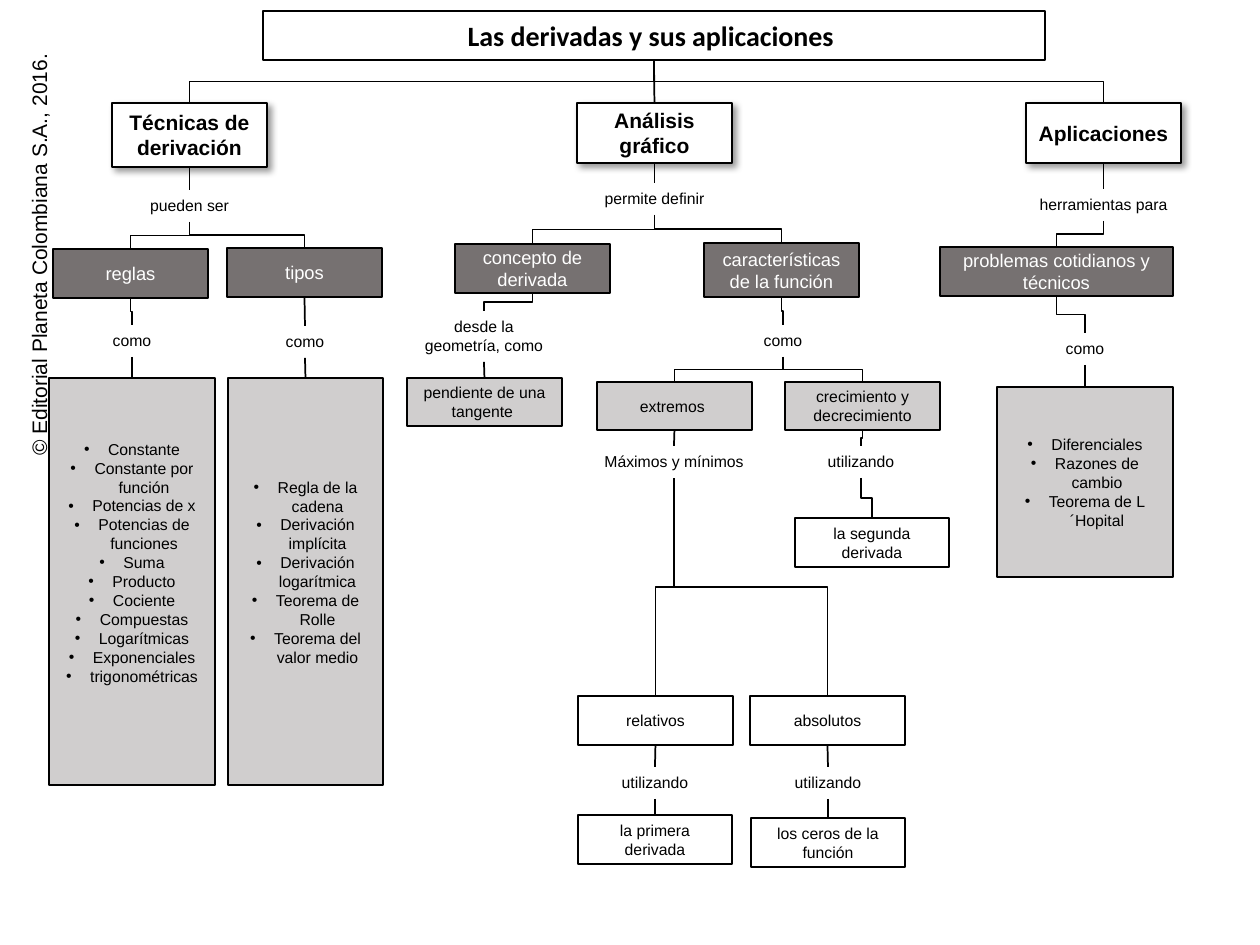
from dataclasses import dataclass

from lxml.etree import SubElement
from pptx import Presentation
from pptx.dml.color import RGBColor
from pptx.enum.shapes import MSO_CONNECTOR, MSO_SHAPE
from pptx.enum.text import MSO_ANCHOR, MSO_AUTO_SIZE, PP_ALIGN
from pptx.oxml.ns import qn
from pptx.util import Emu, Pt

PX = 914400 // 126
BOTTOM, TOP = 2, 0
BULLET_INDENT = 24


@dataclass(frozen=True)
class Style:
    size: float
    fill: str | None = "FFFFFF"
    color: str = "000000"
    bold: bool = False
    font: str = "Arial"
    shadow: bool = False
    bullets: bool = False


class Theme:
    line = "000000"
    line_width = 1
    credit = Style(12, fill=None)
    title = Style(16, bold=True, font="Calibri")
    heading = Style(12, bold=True, shadow=True)
    topic = Style(10.5, fill="767171", color="FFFFFF")
    detail = Style(9, fill="D0CECE")
    items = Style(9, fill="D0CECE", bullets=True)
    leaf = Style(9)
    label = Style(9, fill=None)


RULES = """Constante
Constante por función
Potencias de x
Potencias de funciones
Suma
Producto
Cociente
Compuestas
Logarítmicas
Exponenciales
trigonométricas"""
TYPES = """Regla de la cadena
Derivación implícita
Derivación logarítmica
Teorema de Rolle
Teorema del valor medio"""
TOOLS = """Diferenciales
Razones de cambio
Teorema de L´Hopital"""

# name: style, left, top, width, height, text
NODES = {
    "title": (Theme.title, 263, 11, 782, 49, "Las derivadas y sus aplicaciones "),
    "techniques": (Theme.heading, 112, 103, 155, 64, "Técnicas de derivación"),
    "analysis": (Theme.heading, 577, 103, 155, 60, "Análisis gráfico"),
    "applications": (Theme.heading, 1026, 103, 155, 60, "Aplicaciones"),
    "can be": (Theme.label, 112, 190, 155, 32, "pueden ser"),
    "defines": (Theme.label, 577, 183, 155, 32, "permite definir"),
    "tools for": (Theme.label, 1026, 189, 155, 32, "herramientas para "),
    "rules": (Theme.topic, 53, 249, 155, 49, "reglas"),
    "types": (Theme.topic, 227, 248, 155, 49, "tipos"),
    "concept": (Theme.topic, 455, 244, 155, 49, "concepto de derivada"),
    "features": (Theme.topic, 704, 243, 155, 54, "características de la función"),
    "problems": (Theme.topic, 940, 247, 233, 49, "problemas cotidianos y técnicos"),
    "rules as": (Theme.label, 55, 325, 154, 32, "como"),
    "types as": (Theme.label, 228, 326, 154, 32, "como"),
    "geometry": (Theme.label, 407, 311, 154, 51, "desde la geometría, como"),
    "features as": (Theme.label, 706, 325, 154, 32, "como"),
    "problems as": (Theme.label, 1008, 333, 154, 32, "como"),
    "rule list": (Theme.items, 49, 378, 166, 407, RULES),
    "type list": (Theme.items, 228, 378, 155, 407, TYPES),
    "tool list": (Theme.items, 997, 387, 176, 190, TOOLS),
    "slope": (Theme.detail, 407, 378, 155, 48, "pendiente de una tangente "),
    "extremes": (Theme.detail, 597, 382, 155, 48, "extremos "),
    "growth": (Theme.detail, 785, 382, 155, 48, "crecimiento y decrecimiento"),
    "max and min": (Theme.label, 587, 446, 174, 32, "Máximos y mínimos"),
    "growth using": (Theme.label, 774, 446, 174, 32, "utilizando"),
    "second": (Theme.leaf, 795, 518, 154, 49, "la segunda derivada"),
    "relative": (Theme.leaf, 578, 696, 155, 49, "relativos"),
    "absolute": (Theme.leaf, 750, 696, 155, 49, "absolutos"),
    "relative using": (Theme.label, 578, 767, 154, 32, "utilizando"),
    "absolute using": (Theme.label, 751, 767, 154, 32, "utilizando"),
    "first": (Theme.leaf, 578, 815, 154, 49, "la primera derivada"),
    "zeros": (Theme.leaf, 751, 818, 154, 49, "los ceros de la función"),
}

# Room left under the items, so that they sit above the middle
BOTTOM_INSETS = {"rule list": 44, "type list": 25}

CHILDREN = {
    "title": ["techniques", "analysis", "applications"],
    "techniques": ["can be"],
    "can be": ["rules", "types"],
    "rules": ["rules as"],
    "rules as": ["rule list"],
    "types": ["types as"],
    "types as": ["type list"],
    "analysis": ["defines"],
    "defines": ["concept", "features"],
    "concept": ["geometry"],
    "geometry": ["slope"],
    "features": ["features as"],
    "features as": ["extremes", "growth"],
    "extremes": ["max and min"],
    "max and min": ["relative", "absolute"],
    "relative": ["relative using"],
    "relative using": ["first"],
    "absolute": ["absolute using"],
    "absolute using": ["zeros"],
    "growth": ["growth using"],
    "growth using": ["second"],
    "applications": ["tools for"],
    "tools for": ["problems"],
    "problems": ["problems as"],
    "problems as": ["tool list"],
}


def px(*values):
    return [Emu(value * PX) for value in values]


def write_text(shape, text, style):
    frame = shape.text_frame
    frame.text = text
    frame.word_wrap = True
    for paragraph in frame.paragraphs:
        paragraph.alignment = PP_ALIGN.CENTER
        if style.bullets:
            add_bullet(paragraph)
        for run in paragraph.runs:
            run.font.name = style.font
            run.font.size = Pt(style.size)
            run.font.bold = style.bold
            run.font.color.rgb = RGBColor.from_string(style.color)


def add_bullet(paragraph):
    properties = paragraph._p.get_or_add_pPr()
    properties.set("marL", str(BULLET_INDENT * PX))
    properties.set("indent", str(-BULLET_INDENT * PX))
    SubElement(properties, qn("a:buFont"), typeface="Arial")
    SubElement(properties, qn("a:buChar"), char="•")


def add_shadow(shape):
    effects = shape._element.spPr.find(qn("a:effectLst"))
    shadow = SubElement(effects, qn("a:outerShdw"), blurRad=str(Pt(4)),
                        dist=str(Pt(3)), dir="2700000", algn="tl", rotWithShape="0")
    color = SubElement(shadow, qn("a:srgbClr"), val="000000")
    SubElement(color, qn("a:alpha"), val="40000")


def add_label(slide, box, text, style):
    shape = slide.shapes.add_textbox(*px(*box))
    write_text(shape, text, style)
    shape.text_frame.auto_size = MSO_AUTO_SIZE.SHAPE_TO_FIT_TEXT
    return shape


def add_box(slide, box, text, style):
    shape = slide.shapes.add_shape(MSO_SHAPE.RECTANGLE, *px(*box))
    shape.shadow.inherit = False
    if style.shadow:
        add_shadow(shape)
    shape.fill.solid()
    shape.fill.fore_color.rgb = RGBColor.from_string(style.fill)
    shape.line.color.rgb = RGBColor.from_string(Theme.line)
    shape.line.width = Pt(Theme.line_width)
    write_text(shape, text, style)
    shape.text_frame.vertical_anchor = MSO_ANCHOR.MIDDLE
    return shape


def link(slide, parent, child):
    """Join the foot of the parent to the head of the child."""
    start_x, start_y = parent.left + parent.width // 2, parent.top + parent.height
    end_x, end_y = child.left + child.width // 2, child.top
    straight = abs(end_x - start_x) <= PX
    kind = MSO_CONNECTOR.STRAIGHT if straight else MSO_CONNECTOR.ELBOW
    connector = slide.shapes.add_connector(kind, start_x, start_y, end_x, end_y)
    connector.begin_connect(parent, BOTTOM)
    connector.end_connect(child, TOP)
    if not straight:
        turn_upright(connector, start_x, start_y, end_x, end_y)
    connector.line.color.rgb = RGBColor.from_string(Theme.line)
    connector.line.width = Pt(Theme.line_width)
    SubElement(connector._element.spPr, qn("a:effectLst"))


def turn_upright(connector, start_x, start_y, end_x, end_y):
    """Rotate an elbow so that it leaves and arrives vertically."""
    width, height = end_y - start_y, abs(end_x - start_x)
    connector.left = Emu((start_x + end_x - width) // 2)
    connector.top = Emu((start_y + end_y - height) // 2)
    connector.width, connector.height = Emu(width), Emu(height)
    to_right = end_x > start_x
    transform = connector._element.spPr.find(qn("a:xfrm"))
    transform.set("rot", "16200000" if to_right else "5400000")
    transform.set("flipH", "1" if to_right else "0")


def add_credit(slide):
    credit = add_label(slide, (-176, 236, 430, 38),
                       "© Editorial Planeta Colombiana S.A., 2016.", Theme.credit)
    credit.text_frame.word_wrap = False
    credit.rotation = 270


def main():
    presentation = Presentation()
    presentation.slide_width, presentation.slide_height = px(1260, 945)
    slide = presentation.slides.add_slide(presentation.slide_layouts[6])
    add_credit(slide)
    shapes = {}
    for name, (style, *box, text) in NODES.items():
        add_node = add_box if style.fill else add_label
        shapes[name] = add_node(slide, box, text, style)
    for name, inset in BOTTOM_INSETS.items():
        shapes[name].text_frame.margin_bottom = Emu(inset * PX)
    for parent, children in CHILDREN.items():
        for child in children:
            link(slide, shapes[parent], shapes[child])
    presentation.save("out.pptx")


if __name__ == "__main__":
    main()
